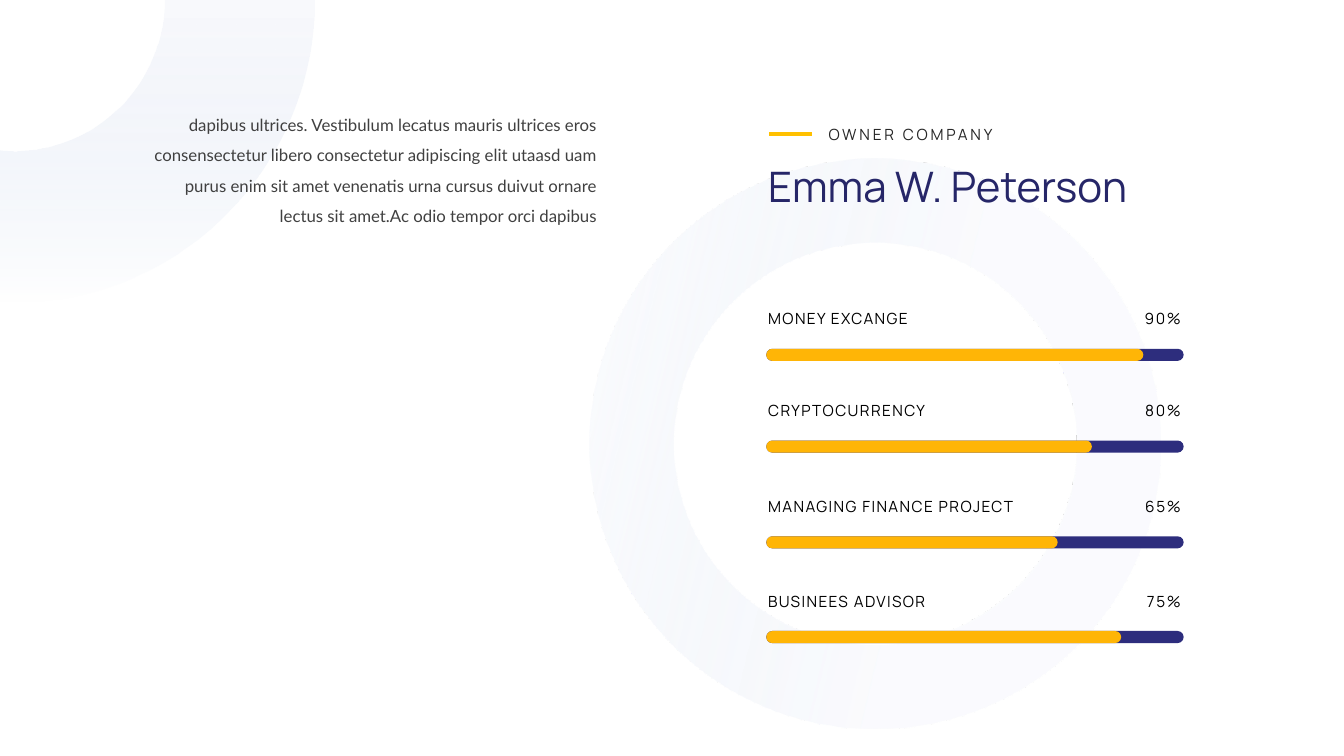
import math

from lxml import etree
from pptx import Presentation
from pptx.dml.color import RGBColor
from pptx.enum.shapes import MSO_CONNECTOR, MSO_SHAPE
from pptx.enum.text import MSO_AUTO_SIZE, PP_ALIGN
from pptx.oxml.ns import qn
from pptx.util import Inches, Pt

NAVY = RGBColor(0x26, 0x26, 0x68)
TRACK = RGBColor(0x2D, 0x2D, 0x7D)
AMBER = RGBColor(0xFF, 0xB5, 0x06)
GOLD = RGBColor(0xFF, 0xC0, 0x00)
BLACK = RGBColor(0x00, 0x00, 0x00)
CHARCOAL = RGBColor(0x26, 0x26, 0x26)
GREY = RGBColor(0x40, 0x40, 0x40)
MIST = RGBColor(0xF9, 0xFA, 0xFD)
PALE_BLUE = RGBColor(0xDA, 0xE3, 0xF3)

LEFT, RIGHT = PP_ALIGN.LEFT, PP_ALIGN.RIGHT
DONUT, PILL = MSO_SHAPE.DONUT, MSO_SHAPE.ROUND_2_DIAG_RECTANGLE
STRAIGHT = MSO_CONNECTOR.STRAIGHT
FIT_SHAPE = MSO_AUTO_SIZE.SHAPE_TO_FIT_TEXT

HEADING_FONT, BODY_FONT = "Manrope", "Lato"

BIO = ("dapibus ultrices. Vestibulum lecatus mauris ultrices eros consensectetur "
       "libero consectetur adipiscing elit utaasd uam purus enim sit amet venenatis "
       "urna cursus duivut ornare lectus sit amet.Ac odio tempor orci dapibus")

# Label, shown value, length of the amber bar, top of the row
SKILLS = [
    ("MONEY EXCANGE", "90%", 3.74, 3.02),
    ("CRYPTOCURRENCY", "80%", 3.23, 3.93),
    ("MANAGING FINANCE PROJECT", "65%", 2.89, 4.88),
    ("BUSINEES ADVISOR", "75%", 3.52, 5.82),
]


def add_text(page, box, text, size, color, font=HEADING_FONT, align=LEFT,
             tracking=0, line_spacing=None):
    """Add one paragraph in box; tracking is the letter spacing in points."""
    text_box = page.shapes.add_textbox(*map(Inches, box))
    frame = text_box.text_frame
    frame.word_wrap = True
    frame.auto_size = FIT_SHAPE
    para = frame.paragraphs[0]
    span = para.add_run()
    span.text = text
    para.alignment = align
    para.line_spacing = line_spacing
    para.font.size = Pt(size)
    para.font.name = font
    para.font.color.rgb = color
    if tracking:
        span.font._element.set("spc", str(round(tracking * 100)))


def fade_down(shape, start, opacity):
    """Fill with a downward gradient from mist to fully clear pale blue."""
    shape.shadow.inherit = False
    shape.line.fill.background()
    shape.fill.gradient()
    shape.fill.gradient_angle = 270
    stops = zip(shape.fill.gradient_stops, (MIST, PALE_BLUE), (start, 1))
    for stop, color, position in stops:
        stop.color.rgb = color
        stop.position = position
    colors = shape._element.spPr.iter(qn("a:srgbClr"))
    for color, alpha in zip(list(colors), (opacity, 0)):
        etree.SubElement(color, qn("a:alpha")).set("val", str(round(alpha * 100000)))


def add_background_ring(page, box):
    ring = page.shapes.add_shape(DONUT, *map(Inches, box))
    ring.adjustments[0] = 0.148
    ring.rotation = 103.3
    fade_down(ring, 0.41, 0.72)


def add_corner_arc(page, box):
    """Draw a quarter ring whose centre lies near the top left of box."""
    left, top, width, height = box
    center = left + 0.13
    outer_width = width - 0.13
    steps = 60
    units_per_inch = 1000

    def arc(radius_x, radius_y):
        angles = [math.pi / 2 * step / steps for step in range(steps + 1)]
        return [(center + radius_x * math.cos(angle), top + radius_y * math.sin(angle))
                for angle in angles]

    outer = arc(outer_width, height)
    inner = arc(1.5, 1.5)
    outline = outer + [(left, top + height - 0.01), (left, top + 1.49)] + inner[::-1]
    points = [(x * units_per_inch, y * units_per_inch) for x, y in outline]
    builder = page.shapes.build_freeform(*points[0], scale=Inches(1) / units_per_inch)
    builder.add_line_segments(points[1:], close=True)
    fade_down(builder.convert_to_shape(), 0, 1)


def add_header(page, box):
    left, top, width, height = box
    dash_y = Inches(top + 0.14)
    dash = page.shapes.add_connector(
        STRAIGHT, Inches(left + 0.11), dash_y, Inches(left + 0.53), dash_y)
    dash.line.color.rgb = GOLD
    dash.line.width = Pt(2.25)
    etree.SubElement(dash._element.spPr, qn("a:effectLst"))
    add_text(page, (left + 0.6, top, 2.1, 0.29), "OWNER COMPANY", 11, CHARCOAL,
             tracking=2)
    add_text(page, (left, top + 0.35, width, height - 0.35), "Emma W. Peterson",
             30, NAVY)


def add_skill(page, box, label, value, bar_length):
    left, top, width, height = box
    add_text(page, (left, top, 3.23, 0.29), label, 11, BLACK, tracking=1)
    add_text(page, (left + width - 0.62, top, 0.62, 0.29), value, 11, BLACK,
             align=RIGHT, tracking=1.2)
    for length, color in ((4.14, TRACK), (bar_length, AMBER)):
        bar = page.shapes.add_shape(PILL, Inches(left + 0.08), Inches(top + height - 0.12),
                                    Inches(length), Inches(0.12))
        bar.adjustments[0] = bar.adjustments[1] = 0.5
        bar.shadow.inherit = False
        bar.fill.solid()
        bar.fill.fore_color.rgb = color
        bar.line.fill.background()


def main():
    deck = Presentation()
    deck.slide_width, deck.slide_height = Inches(13.33), Inches(7.5)
    page = deck.slides.add_slide(deck.slide_layouts[6])
    add_background_ring(page, (5.85, 1.57, 5.66, 5.66))
    add_corner_arc(page, (0, 0, 3.12, 3))
    add_text(page, (1.38, 0.99, 4.64, 1.28), BIO, 12, GREY, BODY_FONT, RIGHT,
             line_spacing=1.5)
    add_header(page, (7.52, 1.19, 4.29, 0.96))
    for label, value, bar_length, top in SKILLS:
        add_skill(page, (7.52, top, 4.29, 0.56), label, value, bar_length)
    deck.save("out.pptx")


if __name__ == "__main__":
    main()
